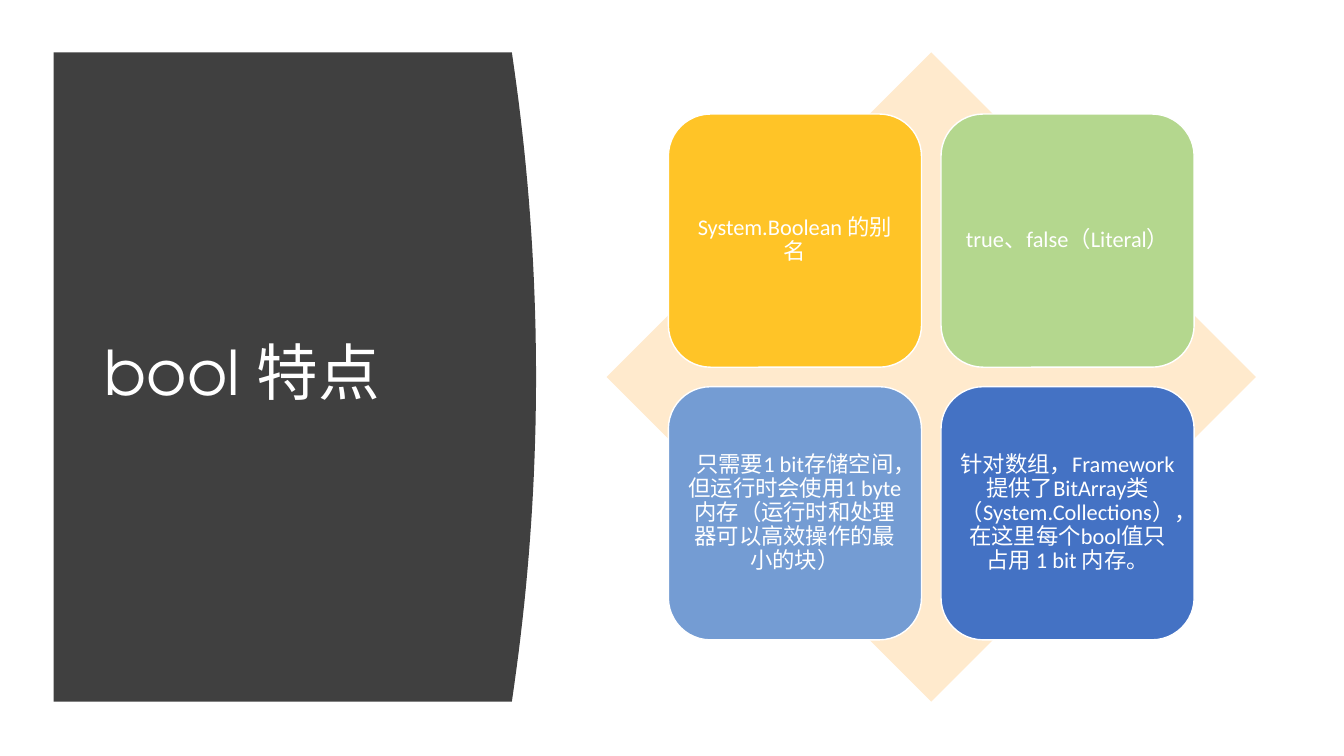
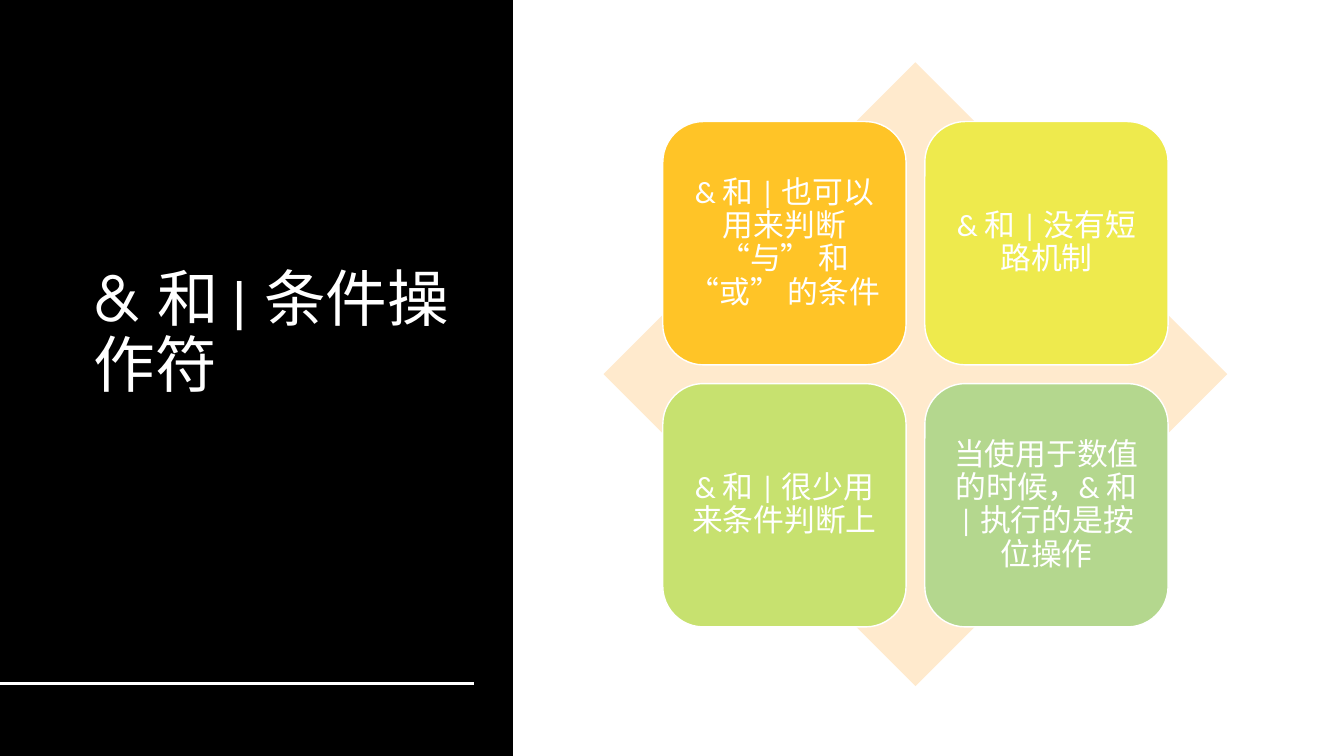
from dataclasses import dataclass

from lxml.etree import SubElement
from pptx import Presentation
from pptx.dml.color import RGBColor
from pptx.enum.lang import MSO_LANGUAGE_ID
from pptx.enum.shapes import MSO_CONNECTOR, MSO_SHAPE
from pptx.enum.text import MSO_ANCHOR, PP_ALIGN
from pptx.oxml.ns import qn
from pptx.util import Cm, Pt


@dataclass(frozen=True)
class Theme:
    white: str = "FFFFFF"
    black: str = "000000"
    charcoal: str = "404040"
    peach: str = "FFEACD"
    amber: str = "FFC427"
    yellow: str = "EEEA4D"
    lime: str = "C7E16F"
    green: str = "B4D78E"
    sky: str = "749CD3"
    blue: str = "4472C4"
    title_font: str = "TeX Gyre Adventor"
    body_font: str = "Calibri"
    title_size: int = 44
    dense_size: int = 16
    large_size: int = 22


theme = Theme()


def paint(shape, color, outline=None):
    shape.shadow.inherit = False
    shape.fill.solid()
    shape.fill.fore_color.rgb = RGBColor.from_string(color)
    if outline:
        shape.line.color.rgb = RGBColor.from_string(outline)
        shape.line.width = Pt(1)
    else:
        shape.line.fill.background()


def write(shape, text, font, size, align, inset=None):
    frame = shape.text_frame
    frame.text = text
    frame.word_wrap = True
    frame.vertical_anchor = MSO_ANCHOR.MIDDLE
    if inset:
        frame.margin_left = frame.margin_right = inset
        frame.margin_top = frame.margin_bottom = inset
    paragraph = frame.paragraphs[0]
    paragraph.alignment = align
    paragraph.line_spacing = 0.9
    for run in paragraph.runs:
        run.font.name = font
        run.font.size = Pt(size)
        run.font.color.rgb = RGBColor.from_string(theme.white)
        run.font.language_id = MSO_LANGUAGE_ID.SIMPLIFIED_CHINESE


deck = Presentation()
deck.slide_width, deck.slide_height = Cm(33.87), Cm(19.05)
features, operators = [deck.slides.add_slide(deck.slide_layouts[6]) for _ in range(2)]

panel_left, panel_top, panel_right, panel_height = 1.35, 1.32, 12.9, 16.36
bulge, steps = 0.61, 40
curve = []
for step in range(steps + 1):
    offset = 2 * step / steps - 1
    x = panel_right + bulge * (1 - offset ** 2)
    y = panel_top + panel_height * step / steps
    curve.append((Cm(x), Cm(y)))
outline = features.shapes.build_freeform(Cm(panel_left), Cm(panel_top))
outline.add_line_segments(curve + [(Cm(panel_left), Cm(panel_top + panel_height))], close=True)
paint(outline.convert_to_shape(), theme.charcoal)

band = operators.shapes.add_shape(MSO_SHAPE.RECTANGLE, 0, 0, Cm(12.93), deck.slide_height)
paint(band, theme.black)
rule = operators.shapes.add_connector(MSO_CONNECTOR.STRAIGHT, 0, Cm(17.22), Cm(11.94), Cm(17.22))
rule.line.color.rgb = RGBColor.from_string(theme.white)
rule.line.width = Pt(2)
SubElement(rule._element.spPr, qn("a:effectLst"))

contents = [
    (features, "bool 特点", (2.39, 2.82, 9.5, 13.31), (15.29, 1.32, 16.36), theme.dense_size, 0.17, [
        ("System.Boolean 的别名", theme.amber),
        ("true、false（Literal）", theme.green),
        ("只需要1 bit存储空间，但运行时会使用1 byte 内存（运行时和处理器可以高效操作的最小的块）", theme.sky),
        ("针对数组，Framework提供了BitArray类（System.Collections），在这里每个bool值只占用 1 bit 内存。", theme.blue),
    ]),
    (operators, "& 和 | 条件操作符", (2.11, 1.55, 9.91, 13.77), (15.21, 1.57, 15.72), theme.large_size, 0.23, [
        ("& 和 | 也可以用来判断 “与” 和 “或” 的条件", theme.amber),
        ("& 和 | 没有短路机制", theme.yellow),
        ("& 和 | 很少用来条件判断上", theme.lime),
        ("当使用于数值的时候，& 和 | 执行的是按位操作", theme.green),
    ]),
]

for slide, heading, heading_area, (left, top, side), size, inset, points in contents:
    title = slide.shapes.add_textbox(*map(Cm, heading_area))
    write(title, heading, theme.title_font, theme.title_size, PP_ALIGN.LEFT)

    diamond = slide.shapes.add_shape(MSO_SHAPE.DIAMOND, Cm(left), Cm(top), Cm(side), Cm(side))
    paint(diamond, theme.peach)

    margin, tile_side, pitch = 0.095 * side, 0.39 * side, 0.42 * side
    for index, (point, color) in enumerate(points):
        row, column = divmod(index, 2)
        tile = slide.shapes.add_shape(
            MSO_SHAPE.ROUNDED_RECTANGLE,
            Cm(left + margin + column * pitch), Cm(top + margin + row * pitch),
            Cm(tile_side), Cm(tile_side))
        paint(tile, color, theme.white)
        write(tile, point, theme.body_font, size, PP_ALIGN.CENTER, Cm(inset))

deck.save("out.pptx")
